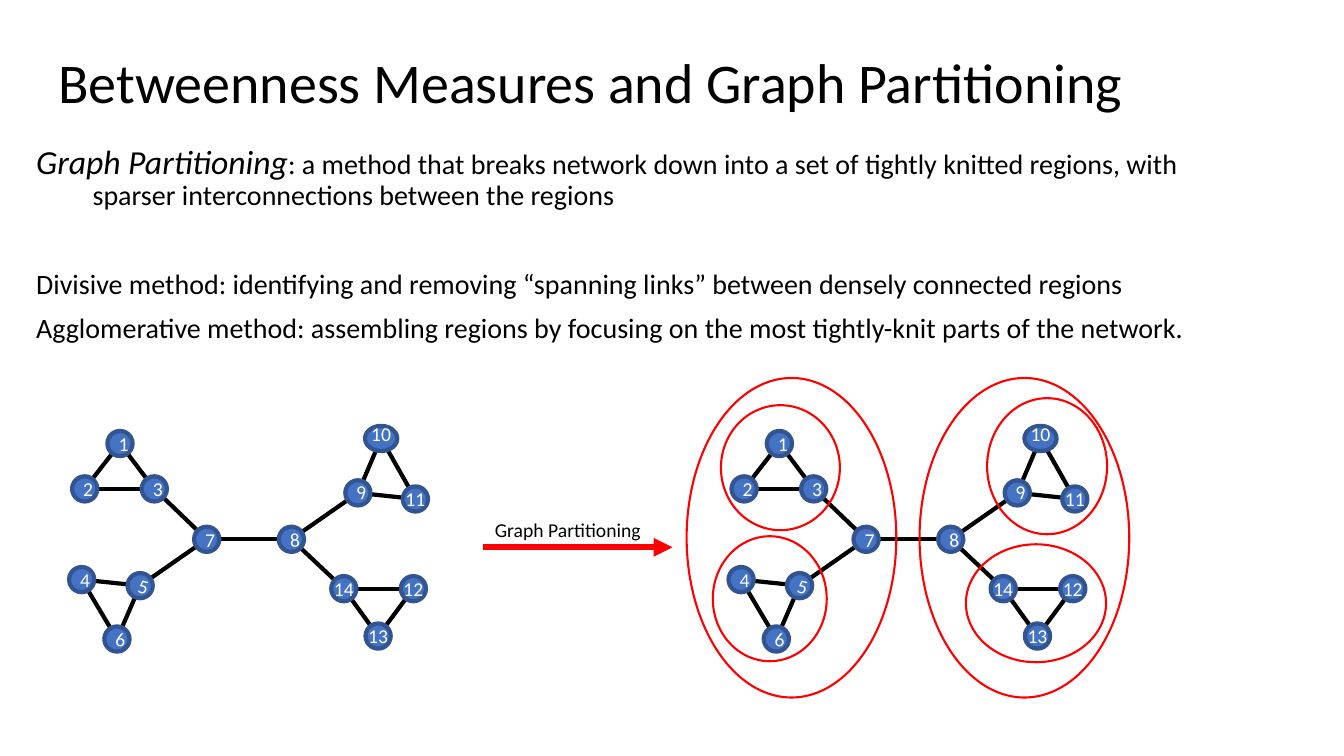
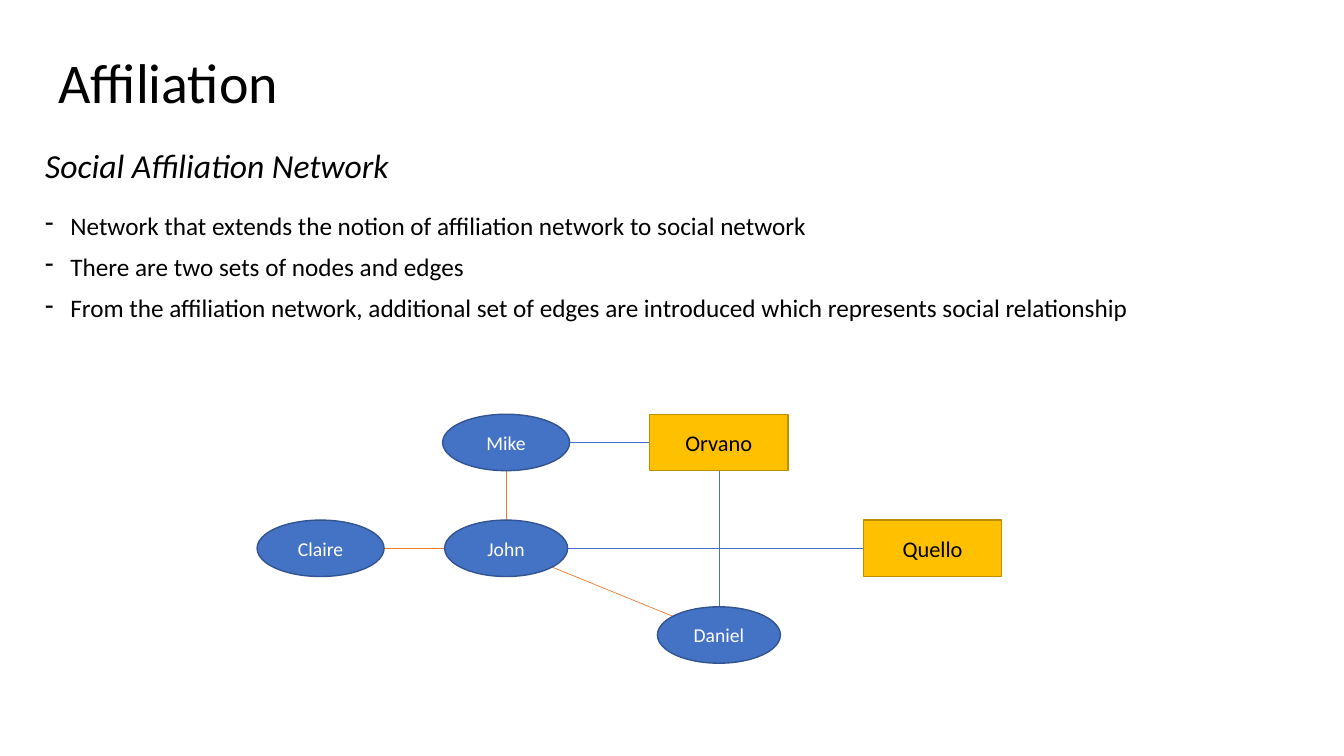
"""Build two slides on graph partitioning and affiliation networks."""
from lxml import etree
from pptx import Presentation
from pptx.dml.color import RGBColor
from pptx.enum.shapes import MSO_CONNECTOR, MSO_SHAPE, MSO_SHAPE_TYPE
from pptx.enum.text import MSO_ANCHOR, MSO_AUTO_SIZE, PP_ALIGN
from pptx.oxml.ns import qn
from pptx.util import Inches, Pt

STRAIGHT = MSO_CONNECTOR.STRAIGHT
OVAL, RECT = MSO_SHAPE.OVAL, MSO_SHAPE.RECTANGLE
LEFT, CENTER = PP_ALIGN.LEFT, PP_ALIGN.CENTER
MIDDLE = MSO_ANCHOR.MIDDLE
FONT = "Calibri"
BLACK, WHITE, RED = "000000", "FFFFFF", "FF0000"
BLUE, NAVY = "4472C4", "325491"
GOLD, BRONZE, ORANGE = "FFC000", "BD8E00", "ED7D31"


def write(tf, text, size=20, color=BLACK, italic=False, align=LEFT,
          before=0, spacing=None, hang=0, bullet=None, join=False):
    """Add a paragraph, or a run to the last paragraph when join is set."""
    p = tf.paragraphs[-1]
    if p.runs and not join:
        p = tf.add_paragraph()
    if not join:
        p.alignment = align
        p.space_before = Pt(before)
        p.line_spacing = spacing
        pPr = p._p.get_or_add_pPr()
        if hang:
            pPr.set("marL", str(Inches(hang)))
            pPr.set("indent", str(-Inches(hang)))
        if bullet:
            etree.SubElement(pPr, qn("a:buChar"), char=bullet)
    for i, line in enumerate(text.split("\n")):
        if i:
            p.add_line_break()
        r = p.add_run()
        r.text = line
        r.font.name, r.font.size, r.font.italic = FONT, Pt(size), italic
        r.font.color.rgb = RGBColor.from_string(color)


def paint(sp, line, width, fill=None):
    """Set the outline and fill of a shape or connector, without shadow."""
    sp.line.color.rgb = RGBColor.from_string(line)
    sp.line.width = Pt(width)
    if sp.shape_type == MSO_SHAPE_TYPE.LINE:
        etree.SubElement(sp._element.spPr, qn("a:effectLst"))
        return
    sp.shadow.inherit = False
    if fill:
        sp.fill.solid()
        sp.fill.fore_color.rgb = RGBColor.from_string(fill)
    else:
        sp.fill.background()


prs = Presentation()
prs.slide_width, prs.slide_height = Inches(13.33), Inches(7.5)

slides = []
for text in ("Betweenness Measures and Graph Partitioning", "Affiliation"):
    s = prs.slides.add_slide(prs.slide_layouts[5])
    title = s.shapes.title
    title.left, title.top = Inches(0.48), Inches(0.11)
    title.width, title.height = Inches(11.04), Inches(1.47)
    tf = title.text_frame
    tf.vertical_anchor = MIDDLE
    tf.auto_size = MSO_AUTO_SIZE.NONE
    write(tf, text, size=40, spacing=0.9)
    slides.append(s)
partitioning, affiliation = slides

boxes = []
for s, x, y, w, h in [
    (partitioning, 0.26, 1.39, 13.08, 2.36),
    (affiliation, 0.35, 1.43, 3.91, 0.55),
    (affiliation, 0.35, 2.07, 12.48, 1.63),
]:
    box = s.shapes.add_textbox(Inches(x), Inches(y), Inches(w), Inches(h))
    box.text_frame.word_wrap = True
    boxes.append(box.text_frame)
methods, subtitle, points = boxes

write(methods, "Graph Partitioning", size=24, italic=True, before=10,
      spacing=0.9, hang=0.56)
write(methods, ": a method that breaks network down into a set of tightly "
      "knitted regions, with\nsparser interconnections between the regions",
      join=True)
write(methods, "Divisive method: identifying and removing “spanning links” "
      "between densely connected regions", before=42, spacing=0.9)
write(methods, "Agglomerative method: assembling regions by focusing on the "
      "most tightly-knit parts of the network.", before=10, spacing=0.9)

write(subtitle, "Social Affiliation Network", size=24, italic=True,
      before=10, spacing=0.9)
for text in (
    "Network that extends the notion of affiliation network to social network",
    "There are two sets of nodes and edges",
    "From the affiliation network, additional set of edges are introduced "
    "which represents social relationship",
):
    write(points, text, size=18, before=10, spacing=0.9, hang=0.25, bullet="-")

centers = {
    1: (1.19, 4.4), 2: (0.84, 4.85), 3: (1.53, 4.85), 4: (0.81, 5.75),
    5: (1.39, 5.81), 6: (1.16, 6.34), 7: (2.05, 5.35), 8: (2.89, 5.35),
    9: (3.55, 4.89), 10: (3.78, 4.35), 11: (4.12, 4.95), 12: (4.1, 5.84),
    13: (3.75, 6.31), 14: (3.41, 5.84),
}
edges = [(1, 2), (1, 3), (2, 3), (4, 5), (4, 6), (5, 6), (3, 7), (5, 7),
         (7, 8), (8, 9), (8, 14), (9, 10), (9, 11), (10, 11), (12, 13),
         (12, 14), (13, 14)]
turns = {5: 14.7, 6: 2.9, 8: 356.8, 9: 346.4}
size = 0.25

for shift in (0, 6.54):
    graph = partitioning.shapes.add_group_shape().shapes
    for a, b in edges:
        (x1, y1), (x2, y2) = centers[a], centers[b]
        edge = graph.add_connector(STRAIGHT, Inches(x1 + shift), Inches(y1),
                                   Inches(x2 + shift), Inches(y2))
        paint(edge, BLACK, 3)
    for number, (x, y) in centers.items():
        w = 0.32 if number == 10 else size
        node = graph.add_shape(OVAL, Inches(x + shift - w / 2),
                               Inches(y - size / 2), Inches(w), Inches(size))
        paint(node, NAVY, 3, fill=BLUE)
        node.rotation = turns.get(number, 0)
        tf = node.text_frame
        tf.word_wrap = False
        tf.vertical_anchor = MIDDLE
        tf.margin_left = Inches(0.07 if number < 10 else 0)
        tf.margin_right = tf.margin_top = 0
        tf.margin_bottom = Inches(0.1 if number == 10 else 0)
        write(tf, str(number), size=14, color=WHITE, align=CENTER)

arrow = partitioning.shapes.add_connector(
    STRAIGHT, Inches(4.79), Inches(5.43), Inches(6.67), Inches(5.43))
paint(arrow, RED, 4.5)
etree.SubElement(arrow.line._get_or_add_ln(), qn("a:tailEnd"), type="triangle")
label = partitioning.shapes.add_textbox(
    Inches(4.81), Inches(5.09), Inches(1.67), Inches(0.34))
label.text_frame.word_wrap = False
write(label.text_frame, "Graph Partitioning", size=14)

for x, y, w, h in [
    (6.81, 3.75, 2.08, 3.17), (9.12, 3.75, 2.08, 3.17),
    (9.79, 3.95, 1.19, 1.35), (9.58, 5.4, 1.39, 1.17),
    (7.07, 5.32, 1.13, 1.24), (7.15, 4.02, 1.18, 1.24),
]:
    region = partitioning.shapes.add_shape(
        OVAL, Inches(x), Inches(y), Inches(w), Inches(h))
    paint(region, RED, 1.5)

people = {"Mike": (5.02, 4.39, 1.26), "Daniel": (7.13, 6.3, 1.22),
          "John": (5.02, 5.44, 1.22), "Claire": (3.18, 5.44, 1.26)}
companies = {"Orvano": (7.13, 4.39, 1.37), "Quello": (9.25, 5.44, 1.37)}
members = people | companies
ties = [("John", "Quello", BLUE), ("Mike", "Orvano", BLUE),
        ("Orvano", "Daniel", BLUE), ("John", "Daniel", ORANGE),
        ("Mike", "John", ORANGE), ("John", "Claire", ORANGE)]
height = 0.56

for a, b, color in ties:
    x1, y1, _ = members[a]
    x2, y2, _ = members[b]
    tie = affiliation.shapes.add_connector(
        STRAIGHT, Inches(x1), Inches(y1), Inches(x2), Inches(y2))
    paint(tie, color, 0.5)

for group, kind, fill, line, color, points_size in [
    (people, OVAL, BLUE, NAVY, WHITE, 14),
    (companies, RECT, GOLD, BRONZE, BLACK, 16),
]:
    for name, (x, y, w) in group.items():
        sp = affiliation.shapes.add_shape(
            kind, Inches(x - w / 2), Inches(y - height / 2),
            Inches(w), Inches(height))
        paint(sp, line, 1, fill=fill)
        sp.text_frame.vertical_anchor = MIDDLE
        write(sp.text_frame, name, size=points_size, color=color, align=CENTER)

prs.save("out.pptx")
